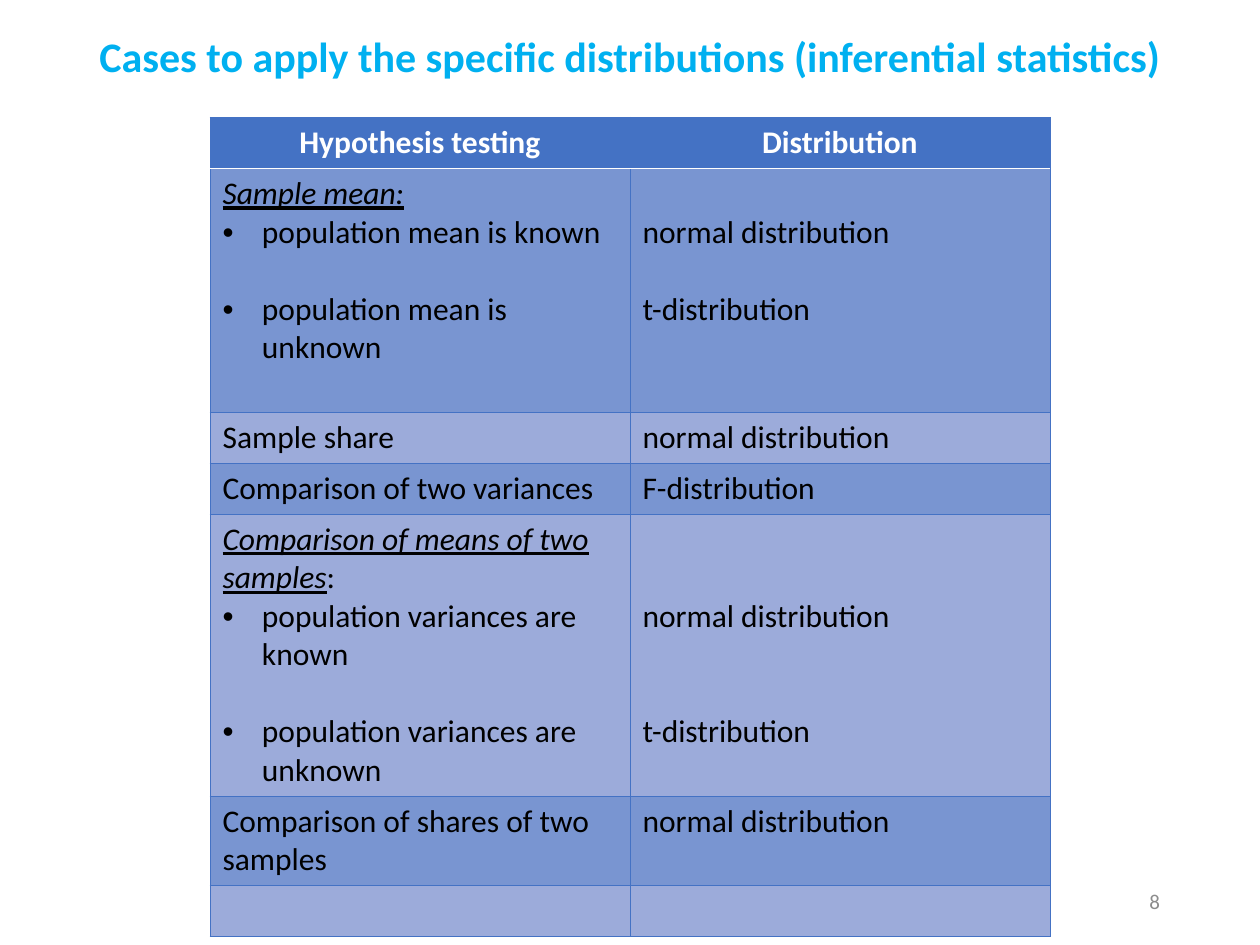
from dataclasses import dataclass
from itertools import product

from lxml.etree import SubElement
from pptx import Presentation
from pptx.dml.color import RGBColor
from pptx.enum.text import MSO_ANCHOR as Anchor, MSO_AUTO_SIZE as AutoSize, PP_ALIGN as Align
from pptx.oxml.ns import qn
from pptx.util import Pt

LINE = 22
CELL_MARGIN = 3.6


def rgb(color):
    return RGBColor.from_string(color)


@dataclass
class Item:
    text: str
    emphasis: bool = False
    bullet: bool = False
    gap: float = 0
    tail: str = ""


@dataclass
class SlideBuilder:
    """Hold the style and the current slide, and draw each kind of element."""

    slide: object
    font: str = "Calibri"
    accent: str = "4472C4"
    band: str = "7995D1"
    plain: str = "9CABDA"
    ink: str = "000000"
    paper: str = "FFFFFF"

    def run(self, paragraph, text, size, color, bold=False, emphasis=False):
        run = paragraph.add_run()
        run.text = text
        run.font.name = self.font
        run.font.size = Pt(size)
        run.font.bold = bold
        run.font.italic = emphasis
        run.font.underline = emphasis
        run.font.color.rgb = rgb(color)

    def title(self, text, left, top, width, height):
        heading = self.slide.shapes.title
        heading.left, heading.top = Pt(left), Pt(top)
        heading.width, heading.height = Pt(width), Pt(height)
        frame = heading.text_frame
        frame.auto_size = AutoSize.NONE
        frame.margin_left = frame.margin_right = Pt(0)
        frame.vertical_anchor = Anchor.MIDDLE
        paragraph = frame.paragraphs[0]
        paragraph.alignment = Align.CENTER
        paragraph.line_spacing = 0.9
        self.run(paragraph, text, 24, "00B0F0", bold=True)

    def page_number(self, text, left, top, width, height):
        box = self.slide.shapes.add_textbox(Pt(left), Pt(top), Pt(width), Pt(height))
        frame = box.text_frame
        frame.word_wrap = True
        frame.vertical_anchor = Anchor.MIDDLE
        paragraph = frame.paragraphs[0]
        paragraph.alignment = Align.RIGHT
        self.run(paragraph, text, 12, "8C8C8C")

    def bullet(self, paragraph, indent=22.5):
        properties = paragraph._p.get_or_add_pPr()
        properties.set("marL", str(Pt(indent)))
        properties.set("indent", str(-Pt(indent)))
        SubElement(properties, qn("a:buFont"), typeface="Arial")
        SubElement(properties, qn("a:buChar"), char="•")

    def border(self, cell, side, color, width):
        line = SubElement(cell._tc.get_or_add_tcPr(), qn(f"a:ln{side}"), w=str(Pt(width)))
        fill = SubElement(line, qn("a:solidFill"))
        SubElement(fill, qn("a:srgbClr"), val=color)

    def cell(self, cell, row, items):
        header_edge = {0: "B", 1: "T"}.get(row)
        for side in "LRTB":
            edge = (self.paper, 1) if side == header_edge else (self.accent, 0.5)
            self.border(cell, side, *edge)
        cell.fill.solid()
        body_fill = self.band if row % 2 else self.plain
        cell.fill.fore_color.rgb = rgb(body_fill if row else self.accent)
        lead = items[0].gap if items else 0
        cell.margin_top = Pt(CELL_MARGIN + lead)
        for index, item in enumerate(items):
            frame = cell.text_frame
            paragraph = frame.add_paragraph() if index else frame.paragraphs[0]
            paragraph.alignment = Align.LEFT if row else Align.CENTER
            if index and item.gap:
                paragraph.space_before = Pt(item.gap)
            if item.bullet:
                self.bullet(paragraph)
            color = self.ink if row else self.paper
            self.run(paragraph, item.text, 18, color, not row, item.emphasis)
            if item.tail:
                self.run(paragraph, item.tail, 18, color)

    def table(self, rows, heights, left, top, width):
        columns = len(rows[0])
        frame = self.slide.shapes.add_table(
            len(rows), columns, Pt(left), Pt(top), Pt(width), Pt(sum(heights)))
        grid = frame.table
        for column in grid.columns:
            column.width = Pt(width / columns)
        for row, height in zip(grid.rows, heights):
            row.height = Pt(height)
        for row, column in product(range(len(rows)), range(columns)):
            self.cell(grid.cell(row, column), row, rows[row][column])


def main():
    deck = Presentation()
    deck.slide_width, deck.slide_height = Pt(720), Pt(540)
    builder = SlideBuilder(deck.slides.add_slide(deck.slide_layouts[5]))
    builder.title("Cases to apply the specific distributions (inferential statistics)",
                  50, 14.4, 620, 39)
    builder.page_number("8", 508, 500.5, 162, 28.8)

    normal = "normal distribution"
    student = "t-distribution"
    cases = [
        ([Item("Hypothesis testing")], [Item("Distribution")]),
        ([Item("Sample mean:", emphasis=True),
          Item("population mean is known", bullet=True),
          Item("population mean is unknown", bullet=True, gap=LINE)],
         [Item(normal, gap=LINE), Item(student, gap=LINE)]),
        ([Item("Sample share")], [Item(normal)]),
        ([Item("Comparison of two variances")], [Item("F-distribution")]),
        ([Item("Comparison of means of two samples", emphasis=True, tail=":"),
          Item("population variances are known", bullet=True),
          Item("population variances are unknown", bullet=True, gap=LINE)],
         [Item(normal, gap=2 * LINE), Item(student, gap=2 * LINE)]),
        ([Item("Comparison of shares of two samples")], [Item(normal)]),
        ([], []),
    ]
    line_counts = [1, 6, 1, 1, 7, 2, 1]
    heights = [count * LINE + 2 * CELL_MARGIN for count in line_counts]
    builder.table(cases, heights, 120, 67, 480)
    deck.save("out.pptx")


if __name__ == "__main__":
    main()
